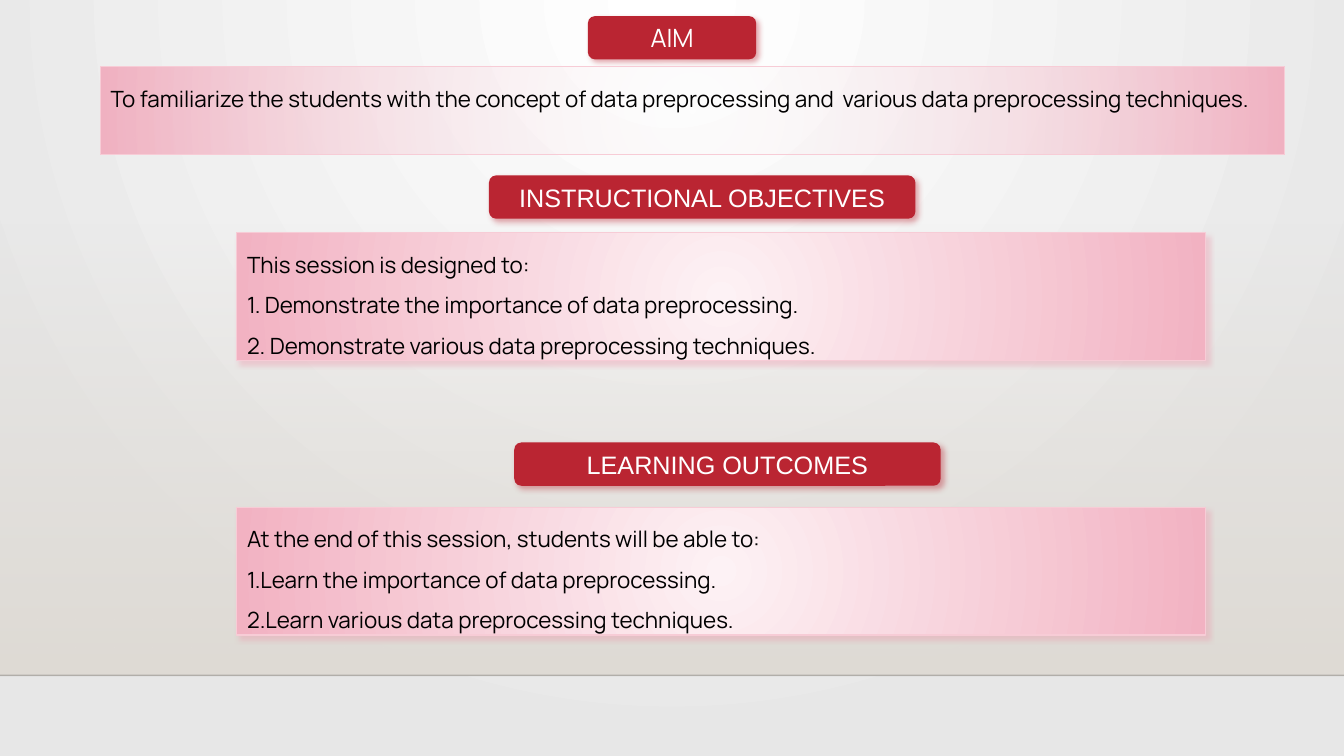
import pptx
import pptx.dml.color
import pptx.enum.shapes
import pptx.enum.text
import pptx.oxml
import pptx.oxml.ns
import pptx.util

W, H = pptx.util.Inches(13.33), pptx.util.Inches(7.5)
NS = pptx.oxml.ns.nsdecls("a")
ALIGN = pptx.enum.text.PP_ALIGN
ANCHOR = pptx.enum.text.MSO_ANCHOR
FIT = pptx.enum.text.MSO_AUTO_SIZE
SHAPE = pptx.enum.shapes.MSO_SHAPE

RED, PINK, ROSE, EDGE = "BA2532", "F2B2C2", "EE99AD", "F7CCD6"
CENTRE = (50, 50, 50, 50)
ROW = 5.73            # header height, % of slide height
LIST_LEFT, LIST_W, LIST_H = 17.63, 72.09, 16.93

HEADER = {
    "frame": {"word_wrap": True, "auto_size": FIT.NONE, "vertical_anchor": ANCHOR.MIDDLE},
    "para": {"alignment": ALIGN.CENTER, "line_spacing": 1.0},
    "font": {"size": pptx.util.Pt(18), "bold": False},
    "color": "FFFFFF",
}
BODY = {
    "frame": {"word_wrap": True, "auto_size": FIT.NONE, "vertical_anchor": ANCHOR.TOP},
    "para": {"alignment": ALIGN.LEFT, "line_spacing": 1.5},
    "font": {"size": pptx.util.Pt(16), "bold": False},
    "color": "000000",
}


def rgb(hex_color):
    return pptx.dml.color.RGBColor.from_string(hex_color)


def xml(text):
    return pptx.oxml.parse_xml(text)


def box(left, top, width, height):
    """Percent of the slide's width and height to lengths."""
    return [round(v * side / 100) for v, side in zip((left, top, width, height), (W, H, W, H))]


def set_all(target, values):
    for name, value in values.items():
        setattr(target, name, value)


def to_back(*shapes):
    """Send shapes behind all others, the last one lowest."""
    for sp in shapes:
        sp.element.getparent().insert(2, sp.element)


def gradient(fill, holder, inner, outer, inner_alpha=100, centre=None):
    """Two-stop gradient: around a centre rectangle, or downwards without one."""
    fill.solid()
    if centre:
        sides = " ".join(f'{k}="{v * 1000}"' for k, v in zip("ltrb", centre))
        way = f'<a:path path="circle"><a:fillToRect {sides}/></a:path>'
    else:
        way = '<a:lin ang="5400000" scaled="0"/>'
    stops = "".join(
        f'<a:gs pos="{pos}"><a:srgbClr val="{c}"><a:alpha val="{a * 1000}"/></a:srgbClr></a:gs>'
        for pos, c, a in ((0, inner, inner_alpha), (100000, outer, 100)))
    solid = holder.find(pptx.oxml.ns.qn("a:solidFill"))
    holder.replace(solid, xml(
        f'<a:gradFill {NS} rotWithShape="1"><a:gsLst>{stops}</a:gsLst>{way}</a:gradFill>'))


def shadow(shape, color):
    shape.shadow.inherit = False
    effects = shape.element.spPr.find(pptx.oxml.ns.qn("a:effectLst"))
    effects.append(xml(
        f'<a:outerShdw {NS} blurRad="50800" dist="38100" dir="2700000" algn="tl" '
        f'rotWithShape="0"><a:srgbClr val="{color}"><a:alpha val="40000"/></a:srgbClr></a:outerShdw>'))


def place(shape, area, preset="rect"):
    """Move a placeholder and give it a preset outline."""
    set_all(shape, dict(zip(("left", "top", "width", "height"), area)))
    shape.element.spPr.append(xml(f'<a:prstGeom {NS} prst="{preset}"><a:avLst/></a:prstGeom>'))


def write(shape, lines, style, font, numbered_from=None):
    tf = shape.text_frame
    set_all(tf, style["frame"])
    for i, line in enumerate(lines):
        p = tf.paragraphs[0] if i == 0 else tf.add_paragraph()
        set_all(p, style["para"])
        p.space_before = pptx.util.Pt(0)
        numbered = numbered_from is not None and i >= numbered_from
        pPr = p._p.get_or_add_pPr()
        pPr.set("marL", "0")
        pPr.set("indent", "-342900" if numbered else "0")
        pPr.append(xml(f'<a:buAutoNum {NS} type="arabicPeriod"/>' if numbered
                       else f'<a:buNone {NS}/>'))
        r = p.add_run()
        r.text = line
        set_all(r.font, {**style["font"], "name": font})
        r.font.color.rgb = rgb(style["color"])


def red_tab(shape):
    shape.fill.solid()
    shape.fill.fore_color.rgb = rgb(RED)
    shape.line.fill.background()
    shadow(shape, RED)


def title_header(s, title, text, area):
    """A title placeholder draws square corners, so a rounded tab lies under it."""
    tab = s.shapes.add_shape(SHAPE.ROUNDED_RECTANGLE, *area)
    red_tab(tab)
    to_back(tab)
    place(title, area)
    write(title, [text], HEADER, "Manrope")


def header(shape, text, area):
    place(shape, area, "roundRect")
    red_tab(shape)
    write(shape, [text], HEADER, "Arial")


def panel(shape, lines, inner_alpha=100, numbered_from=None):
    gradient(shape.fill, shape.element.spPr, "FDF2F5", PINK, inner_alpha, CENTRE)
    shape.line.color.rgb = rgb(EDGE)
    shape.line.width = pptx.util.Pt(0.75)
    write(shape, lines, BODY, "Manrope", numbered_from)


def list_panel(shape, top, lines, numbered_from=None):
    place(shape, box(LIST_LEFT, top, LIST_W, LIST_H))
    panel(shape, lines, numbered_from=numbered_from)
    shadow(shape, ROSE)


def backdrop(s):
    s.background.fill.solid()
    bgPr = s.element.find(".//" + pptx.oxml.ns.qn("p:bgPr"))
    gradient(s.background.fill, bgPr, "FFFFFF", "E7E7E7", centre=(43, 0, 43, 100))

    # Floor shade and its lower edge
    shade = s.shapes.add_shape(SHAPE.RECTANGLE, *box(0, 29.47, 100, 59.86))
    shade.shadow.inherit = False
    gradient(shade.fill, shade.element.spPr, "DFDBD5", "DFDBD5", inner_alpha=0)
    shade.line.fill.background()
    _, y, right, _ = box(0, 89.33, 100, 0)
    edge = s.shapes.add_connector(pptx.enum.shapes.MSO_CONNECTOR.STRAIGHT, 0, y, right, y)
    edge.line.width = pptx.util.Pt(1)
    edge.line.color.rgb = rgb("000001")
    spPr = edge.element.spPr
    spPr.find(".//" + pptx.oxml.ns.qn("a:srgbClr")).append(xml(f'<a:alpha {NS} val="20000"/>'))
    spPr.append(xml(f"<a:effectLst {NS}/>"))
    to_back(edge, shade)


def main():
    prs = pptx.Presentation()
    prs.slide_width, prs.slide_height = W, H
    s = prs.slides.add_slide(prs.slide_layouts.get_by_name("Comparison"))
    title, goals_head, goals, results_head, results = s.placeholders

    # Aim
    title_header(s, title, "AIM", box(43.74, 2.13, 12.53, ROW))
    aim = s.shapes.add_shape(SHAPE.RECTANGLE, *box(7.5, 8.8, 88.07, 11.6))
    aim.shadow.inherit = False
    panel(aim, ["To familiarize the students with the concept of data preprocessing and  "
                "various data preprocessing techniques."], inner_alpha=0)

    # Objectives
    header(goals_head, "INSTRUCTIONAL OBJECTIVES", box(36.38, 23.2, 31.73, ROW))
    list_panel(goals, 30.8, ["This session is designed to:",
                             "1. Demonstrate the importance of data preprocessing.",
                             "2. Demonstrate various data preprocessing techniques."])

    # Outcomes
    header(results_head, "LEARNING OUTCOMES", box(38.26, 58.53, 31.73, ROW))
    list_panel(results, 67.07, ["At the end of this session, students will be able to:",
                                "Learn the importance of data preprocessing.",
                                "Learn various data preprocessing techniques."], numbered_from=1)

    # Background, behind everything else
    backdrop(s)
    prs.save("out.pptx")


if __name__ == "__main__":
    main()
